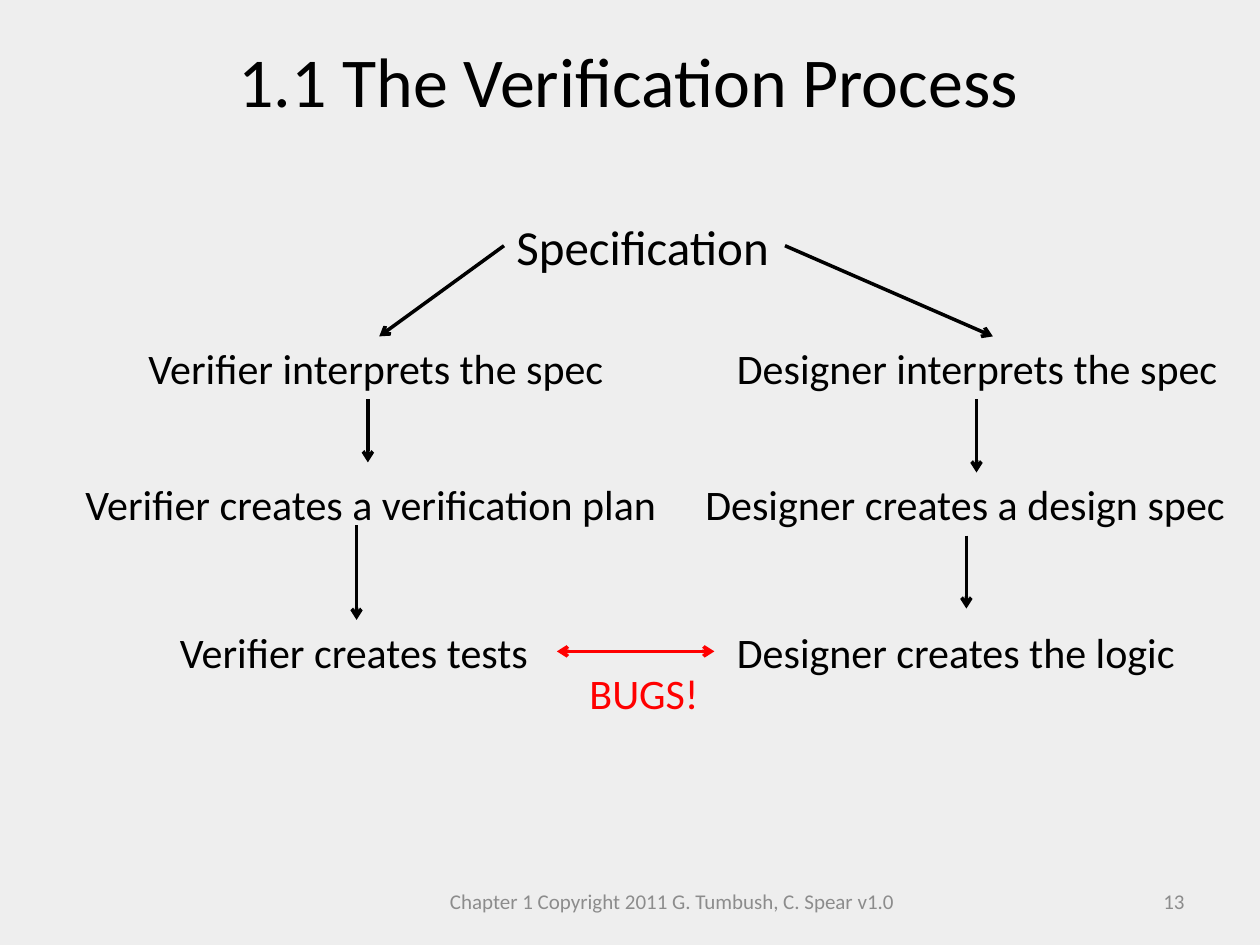
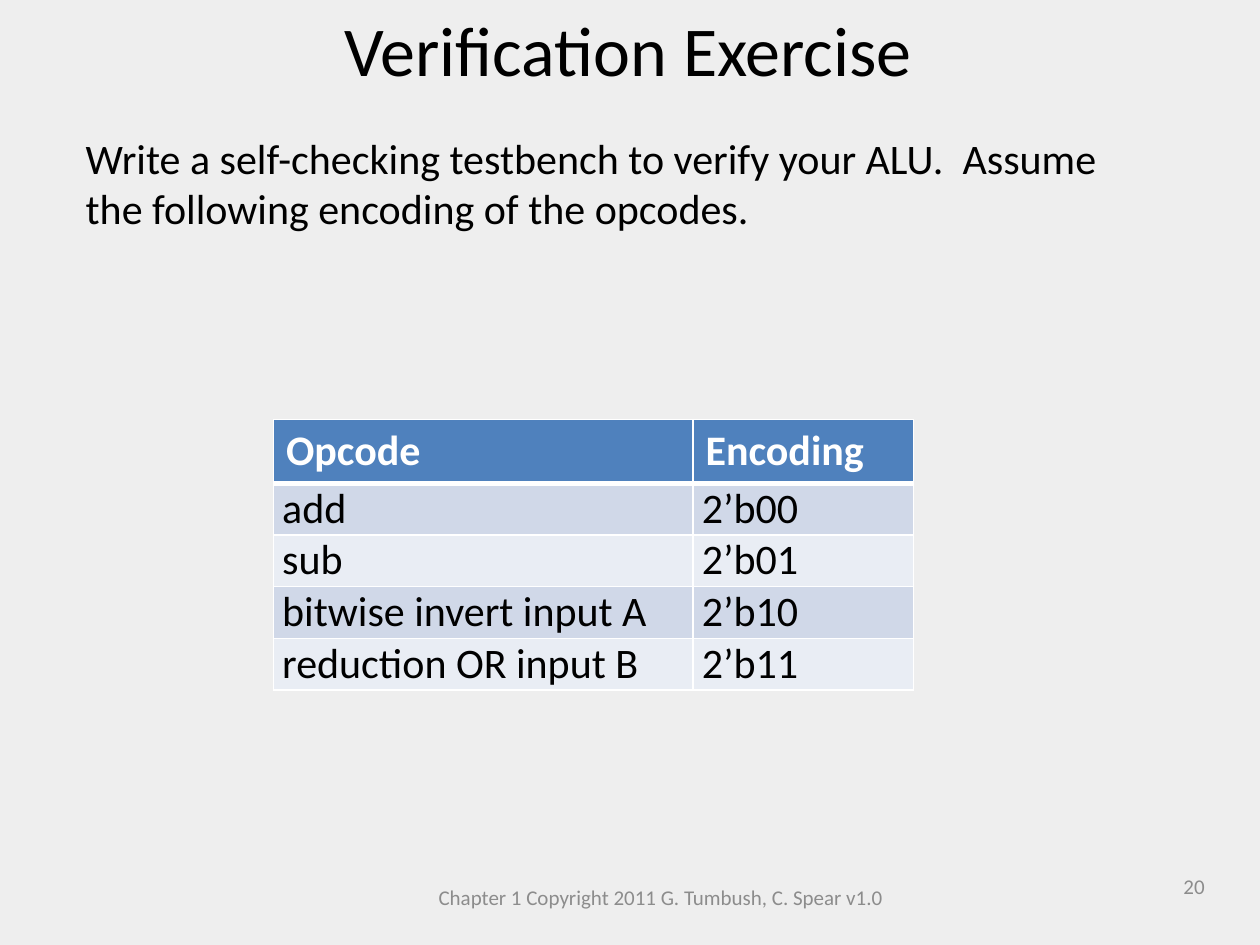
from pptx import Presentation
from pptx.dml.color import RGBColor
from pptx.enum.shapes import MSO_CONNECTOR
from pptx.enum.text import MSO_ANCHOR, MSO_AUTO_SIZE, PP_ALIGN
from pptx.oxml.ns import qn
from pptx.oxml.xmlchemy import OxmlElement
from pptx.util import Inches, Pt

STRAIGHT = MSO_CONNECTOR.STRAIGHT
TOP, MIDDLE = MSO_ANCHOR.TOP, MSO_ANCHOR.MIDDLE
LEFT, CENTER, RIGHT = PP_ALIGN.LEFT, PP_ALIGN.CENTER, PP_ALIGN.RIGHT
NO_AUTOFIT = MSO_AUTO_SIZE.NONE

FONT = "Calibri"
BACKGROUND = "EEEEEE"
BLACK, WHITE, GRAY, RED = "000000", "FFFFFF", "8C8C8C", "FF0000"
HEADER_FILL = "4F81BD"
BAND_FILLS = ("D0D8E8", "E9EDF4")
FOOTER = "Chapter 1 Copyright 2011 G. Tumbush, C. Spear v1.0"
TITLE_ONLY, TITLE_AND_BODY = 5, 1


def color(hex_string):
    return RGBColor.from_string(hex_string)


class Deck:
    """Holds the shared style and the slide being built."""

    def __init__(self):
        self.presentation = Presentation()
        self.presentation.slide_width = Inches(10)
        self.presentation.slide_height = Inches(7.5)
        self.slide = None

    def add_slide(self, layout, title, title_top):
        self.slide = self.presentation.slides.add_slide(
            self.presentation.slide_layouts[layout])
        fill = self.slide.background.fill
        fill.solid()
        fill.fore_color.rgb = color(BACKGROUND)
        self.place(self.slide.shapes.title, 0.33, title_top, 9.31, 0.77)
        self.set_text(self.slide.shapes.title.text_frame, title, 40, align=CENTER)

    def place(self, shape, left, top, width, height):
        shape.left, shape.top = Inches(left), Inches(top)
        shape.width, shape.height = Inches(width), Inches(height)

    def format_runs(self, paragraph, size, text_color, bold=False):
        for run in paragraph.runs:
            run.font.name = FONT
            run.font.size = Pt(size)
            run.font.bold = bold
            run.font.color.rgb = color(text_color)

    def set_text(self, frame, text, size, text_color=BLACK, align=LEFT,
                 anchor=TOP, wrap=True):
        frame.text = text
        frame.auto_size = NO_AUTOFIT
        frame.word_wrap = wrap
        frame.vertical_anchor = anchor
        paragraph = frame.paragraphs[0]
        paragraph.alignment = align
        self.format_runs(paragraph, size, text_color)

    def text(self, text, left, top, width, height=0.5, size=24, **style):
        box = self.slide.shapes.add_textbox(
            Inches(left), Inches(top), Inches(width), Inches(height))
        self.set_text(box.text_frame, text, size, **style)

    def body(self, text, left, top, width, height):
        shape = self.slide.placeholders[1]
        self.place(shape, left, top, width, height)
        self.set_text(shape.text_frame, text, 24)
        paragraph = shape.text_frame.paragraphs[0]
        paragraph.space_before = Pt(0)
        properties = paragraph._p.get_or_add_pPr()
        properties.set("marL", "0")
        properties.set("indent", "0")
        properties.append(OxmlElement("a:buNone"))

    def footer(self, footer_left, footer_top, number, number_left, number_top):
        style = dict(height=0.4, size=12, text_color=GRAY, anchor=MIDDLE)
        self.text(FOOTER, footer_left, footer_top, 3.83, align=CENTER, **style)
        self.text(number, number_left, number_top, 2.33, align=RIGHT, **style)

    def arrow(self, start, end, line_color=BLACK, both_ends=False):
        connector = self.slide.shapes.add_connector(
            STRAIGHT, *(Inches(value) for value in (*start, *end)))
        connector.line.color.rgb = color(line_color)
        connector.line.width = Pt(2)
        shape_properties = connector._element.spPr
        line = shape_properties.find(qn("a:ln"))
        for tag in ("a:headEnd", "a:tailEnd") if both_ends else ("a:tailEnd",):
            arrowhead = OxmlElement(tag)
            arrowhead.set("type", "arrow")
            line.append(arrowhead)
        shape_properties.append(OxmlElement("a:effectLst"))

    def cell_borders(self, cell, bottom_width):
        properties = cell._tc.get_or_add_tcPr()
        widths = {"a:lnL": 1, "a:lnR": 1, "a:lnT": 1, "a:lnB": bottom_width}
        for position, (tag, width) in enumerate(widths.items()):
            border = OxmlElement(tag)
            border.set("w", str(Pt(width)))
            fill = OxmlElement("a:solidFill")
            border_color = OxmlElement("a:srgbClr")
            border_color.set("val", WHITE)
            fill.append(border_color)
            border.append(fill)
            properties.insert(position, border)

    def table(self, rows, left, top, column_widths, row_height):
        table = self.slide.shapes.add_table(
            len(rows), len(column_widths), Inches(left), Inches(top),
            Inches(sum(column_widths)), Inches(row_height * len(rows))).table
        for column, width in zip(table.columns, column_widths):
            column.width = Inches(width)
        for row_index, row in enumerate(rows):
            header = row_index == 0
            for column_index, text in enumerate(row):
                cell = table.cell(row_index, column_index)
                cell.text = text
                self.format_runs(cell.text_frame.paragraphs[0], 24,
                                 WHITE if header else BLACK, bold=header)
                if not header:
                    cell.margin_left = cell.margin_right = Inches(0.07)
                    cell.margin_top = cell.margin_bottom = 0
                cell.fill.solid()
                cell.fill.fore_color.rgb = color(
                    HEADER_FILL if header else BAND_FILLS[(row_index - 1) % 2])
                self.cell_borders(cell, bottom_width=3 if header else 1)


def build_process_slide(deck):
    deck.add_slide(TITLE_ONLY, "1.1 The Verification Process", 0.25)
    deck.footer(3.42, 6.95, "13", 7.17, 6.95)
    deck.text("Specification", 4, 1.67, 2.23, 0.57, size=28)

    # Verifier steps on the left, designer steps on the right
    step_tops = (2.67, 3.75, 4.92)
    verifier_steps = (("Verifier interprets the spec", 1.08, 3.85),
                      ("Verifier creates a verification plan", 0.58, 4.78),
                      ("Verifier creates tests", 1.33, 2.99))
    designer_steps = (("Designer interprets the spec", 5.75),
                      ("Designer creates a design spec", 5.5),
                      ("Designer creates the logic", 5.75))
    for top, (text, left, width) in zip(step_tops, verifier_steps):
        deck.text(text, left, top, width, wrap=False)
    for top, (text, left) in zip(step_tops, designer_steps):
        deck.text(text, left, top, 10 - left)

    # Arrows from the specification, then down each column
    deck.arrow((4, 1.95), (3.01, 2.67))
    deck.arrow((6.23, 1.95), (7.88, 2.67))
    for x, top, bottom in ((2.92, 3.17, 3.67), (2.83, 4.17, 4.92),
                           (7.75, 3.17, 3.75), (7.67, 4.25, 4.83)):
        deck.arrow((x, top), (x, bottom))

    # Mismatch between tests and logic
    deck.arrow((4.42, 5.17), (5.67, 5.17), RED, both_ends=True)
    deck.text("BUGS!", 4.58, 5.25, 1.08, text_color=RED, wrap=False)


def build_exercise_slide(deck):
    deck.add_slide(TITLE_AND_BODY, "Verification Exercise", 0)
    deck.footer(3.33, 6.92, "20", 7.33, 6.83)
    deck.body("Write a self-checking testbench to verify your ALU.  Assume the "
              "following encoding of the opcodes.", 0.58, 1, 8.75, 0.91)
    opcodes = (("Opcode", "Encoding"),
               ("add", "2’b00"),
               ("sub", "2’b01"),
               ("bitwise invert input A", "2’b10"),
               ("reduction OR input B", "2’b11"))
    deck.table(opcodes, 2.17, 3.33, (3.33, 1.75), 0.41)


def main():
    deck = Deck()
    build_process_slide(deck)
    build_exercise_slide(deck)
    deck.presentation.save("out.pptx")


if __name__ == "__main__":
    main()
